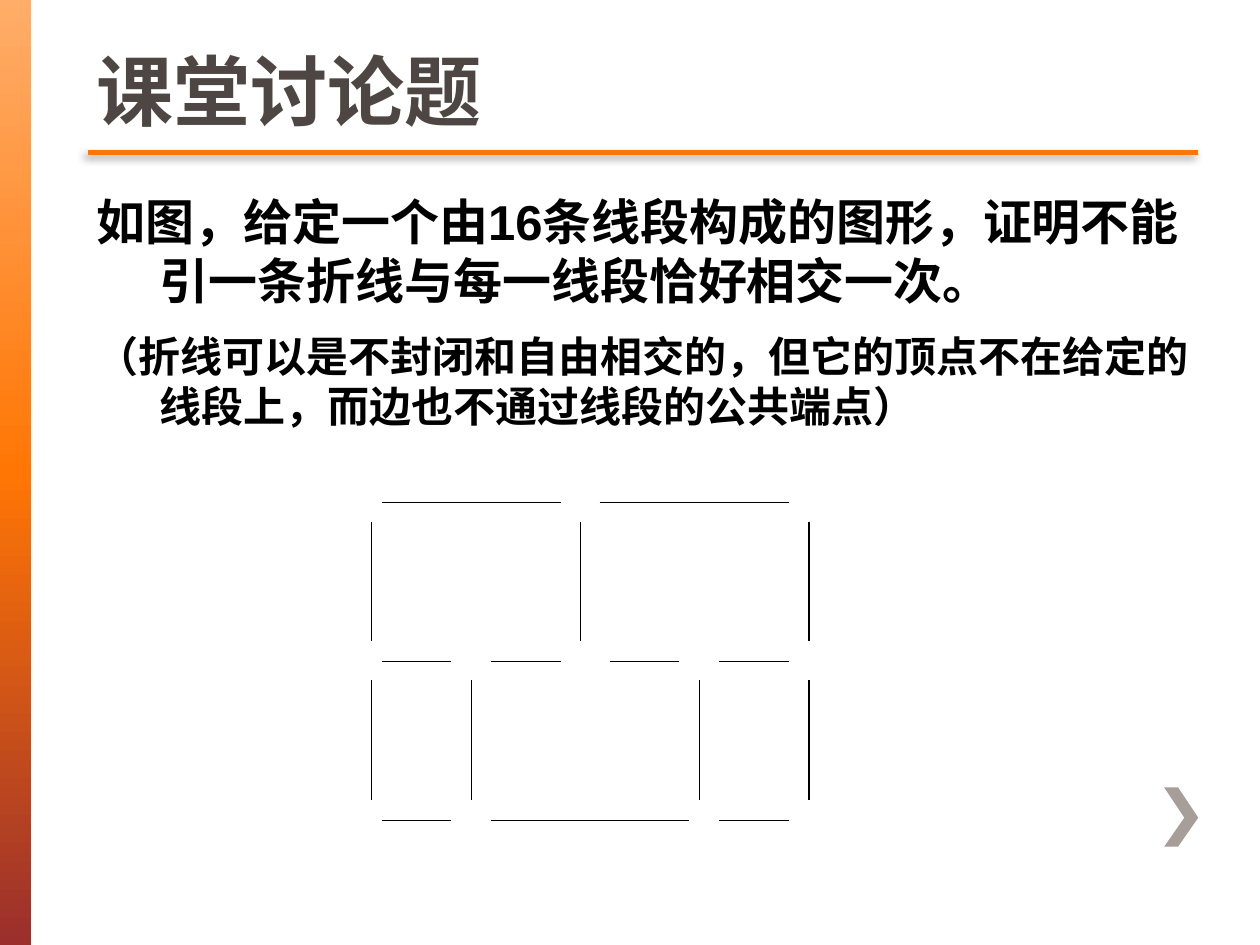
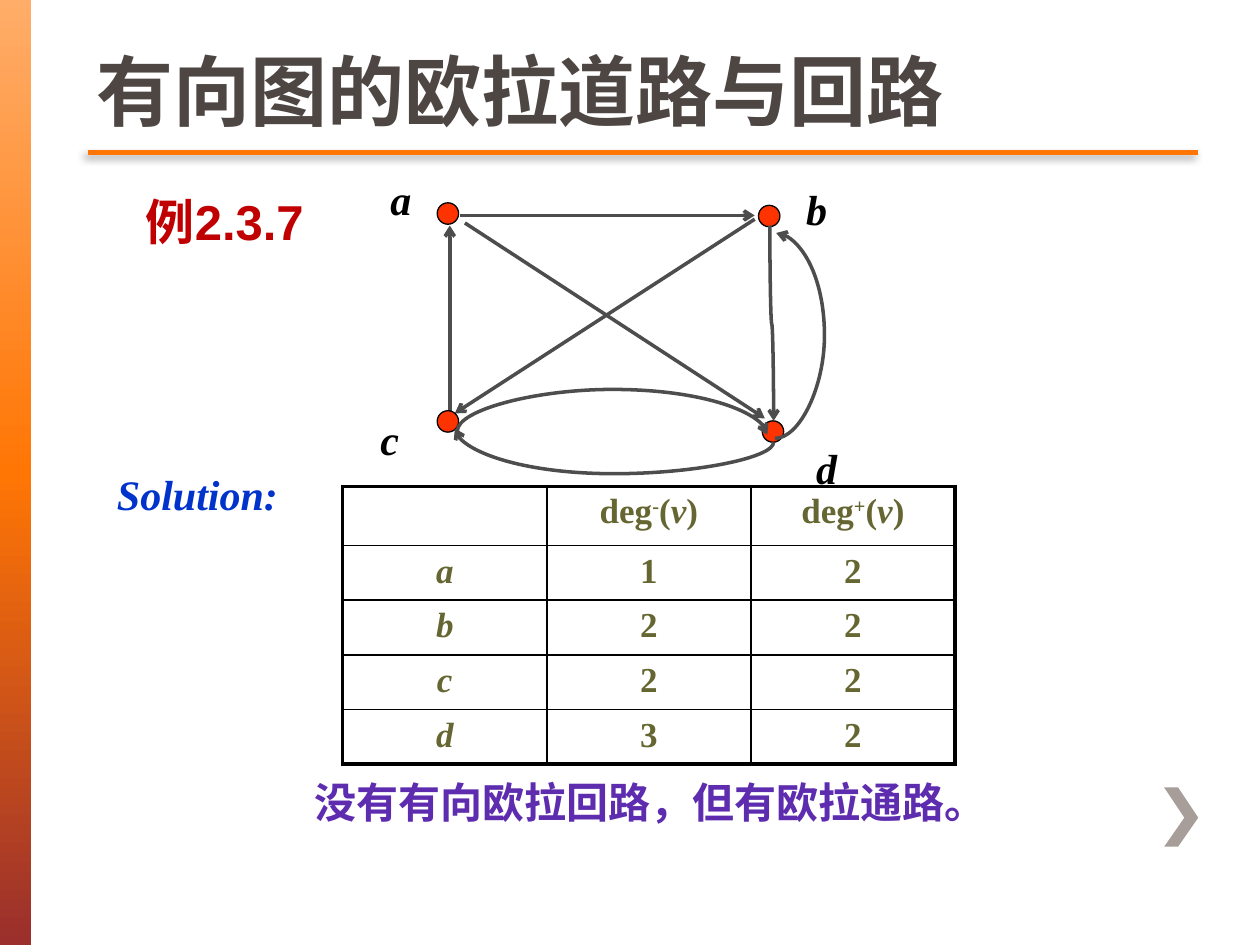
"""Build two graph theory slides: a discussion problem and a directed Euler path example."""
from copy import deepcopy
from dataclasses import dataclass

from lxml import etree
from pptx import Presentation
from pptx.dml.color import RGBColor
from pptx.enum.shapes import MSO_CONNECTOR, MSO_SHAPE
from pptx.enum.text import MSO_ANCHOR, PP_ALIGN
from pptx.oxml.ns import qn
from pptx.util import Inches, Pt

STRAIGHT, CURVE = MSO_CONNECTOR.STRAIGHT, MSO_CONNECTOR.CURVE
RECT, NODE = MSO_SHAPE.RECTANGLE, MSO_SHAPE.FLOWCHART_CONNECTOR
BOTTOM, CENTER = MSO_ANCHOR.BOTTOM, PP_ALIGN.CENTER


@dataclass(frozen=True)
class Theme:
    sans: str = "Arial"
    serif: str = "Times New Roman"
    cjk: str = "Noto Sans CJK SC"
    title: str = "4D4643"
    accent: str = "FF7605"
    chevron: str = "A79D99"
    black: str = "000000"
    edge: str = "4D4D4D"
    node: str = "FF3300"
    cell: str = "666633"
    solution: str = "0033CC"
    example: str = "C00000"
    answer: str = "5E2CAE"
    bar: tuple = ((0, "FFAD69"), (0.5, "FF7605"), (1, "9A2F2C"))
    title_size: int = 44
    lead_size: int = 28
    text_size: int = 24
    cell_size: int = 20


T = Theme()

CHEVRON = [(9.35, 6.25), (9.24, 6.25), (9.4, 6.49), (9.24, 6.72),
           (9.35, 6.72), (9.51, 6.49)]

PROBLEM_TITLE = "课堂讨论题"
PROBLEM = [
    ("如图，给定一个由16条线段构成的图形，证明不能引一条折线与每一线段恰好相交一次。", T.lead_size),
    ("（折线可以是不封闭和自由相交的，但它的顶点不在给定的线段上，而边也不通过线段的公共端点）",
     T.text_size),
]
FIGURE_TOP, ROW_PITCH, GAP, WALL = 3.99, 1.26, 0.15, 0.95
FLOORS = [
    [(3.03, 4.45), (4.76, 6.26)],
    [(3.03, 3.58), (3.9, 4.45), (4.84, 5.39), (5.71, 6.26)],
    [(3.03, 3.58), (3.9, 5.47), (5.71, 6.26)],
]
WALLS = [[2.95, 4.61, 6.42], [2.95, 3.74, 5.55, 6.42]]

EULER_TITLE = "有向图的欧拉道路与回路"
NODE_SIZE = 0.17
NODES = {
    "a": ((3.47, 1.61), (3, 1.29)),
    "b": ((6.02, 1.63), (6.3, 1.37)),
    "c": ((3.47, 3.26), (2.92, 3.19)),
    "d": ((6.05, 3.34), (6.38, 3.42)),
}
ARROWS = [
    ((3.57, 3.29), (3.57, 1.79)),
    ((3.65, 1.71), (5.99, 1.71)),
    ((5.99, 1.74), (3.61, 3.28)),
    ((3.69, 1.77), (6.07, 3.32)),
]
DOWN_CURVES = [
    ((3.61, 3.4), (6.14, 3.51), 0.36, "headEnd"),
    ((3.63, 3.42), (6.09, 3.45), -0.33, "tailEnd"),
    ((6.11, 1.79), (6.14, 3.34), 0.78, "tailEnd"),
]
SIDE_CURVE = ((6.15, 3.48), (6.16, 1.85), 0.4)
NOTES = [
    ("Solution:", (0.83, 3.67, 8.35, 0.5), T.text_size, T.solution, T.serif, True),
    ("例2.3.7", (1.06, 1.47, 1.97, 0.57), T.lead_size, T.example, T.sans, False),
    ("没有有向欧拉回路，但有欧拉通路。", (2.4, 6.11, 5.67, 0.5), T.text_size, T.answer, T.sans, False),
]


def degree(sign):
    return [("deg", ""), (sign, "sup"), ("(", ""), ("v", "i"), (")", "")]


DEGREES = [("a", "1", "2"), ("b", "2", "2"), ("c", "2", "2"), ("d", "3", "2")]
TABLE = [[[], degree("-"), degree("+")]] + [
    [[(name, "i")], [(into, "")], [(out, "")]] for name, into, out in DEGREES]
TABLE_AT = (2.72, 3.86)
COL_WIDTH = 1.62
ROW_HEIGHTS = [0.47, 0.41, 0.43, 0.41, 0.41]


def rgb(color):
    return RGBColor.from_string(color)


def sub(parent, tag, **attrs):
    return etree.SubElement(parent, qn("a:" + tag), {k: str(v) for k, v in attrs.items()})


def style_run(r, size, color, font, italic=False):
    r.font.size, r.font.bold, r.font.italic = Pt(size), True, italic
    r.font.name = font
    r.font.color.rgb = rgb(color)
    sub(r._r.get_or_add_rPr(), "ea", typeface=T.cjk)


def add_text(slide, box, text, size, color, font=T.sans, italic=False):
    tf = slide.shapes.add_textbox(*map(Inches, box)).text_frame
    tf.word_wrap = True
    tf.text = text
    style_run(tf.paragraphs[0].runs[0], size, color, font, italic)
    return tf


def add_line(slide, start, end, color, width, kind=STRAIGHT):
    sp = slide.shapes.add_connector(kind, *map(Inches, (*start, *end)))
    sp.line.color.rgb = rgb(color)
    sp.line.width = Pt(width)
    sub(sp._element.spPr, "effectLst")
    return sp


def add_arrow(slide, start, end, kind=STRAIGHT, tip="tailEnd"):
    sp = add_line(slide, start, end, T.edge, 2, kind)
    sub(sp._element.spPr.find(qn("a:ln")), tip, type="arrow")
    return sp


def set_bulge(sp, ratio):
    guides = sp._element.spPr.find(qn("a:prstGeom")).find(qn("a:avLst"))
    sub(guides, "gd", name="adj1", fmla=f"val {round(ratio * 100000)}")


def add_down_curve(slide, start, end, bulge, tip):
    (x1, y1), (x2, y2) = start, end
    w, h = y2 - y1, x2 - x1
    left, top = (x1 + x2 - w) / 2, (y1 + y2 - h) / 2
    sp = add_arrow(slide, (left, top), (left + w, top + h), CURVE, tip)
    xfrm = sp._element.spPr.find(qn("a:xfrm"))
    xfrm.set("rot", str(270 * 60000))
    xfrm.set("flipH", "1")
    set_bulge(sp, bulge / w)


def paint(sp, color):
    sp.shadow.inherit = False
    sp.fill.solid()
    sp.fill.fore_color.rgb = rgb(color)
    sp.line.fill.background()


def add_bar(slide):
    sp = slide.shapes.add_shape(RECT, 0, 0, Inches(0.25), Inches(7.5))
    sp.shadow.inherit = False
    sp.line.fill.background()
    sp.fill.gradient()
    sp.fill.gradient_angle = 270
    stops = sp._element.spPr.find(qn("a:gradFill")).find(qn("a:gsLst"))
    stops.append(deepcopy(stops[0]))
    for stop, (position, color) in zip(sp.fill.gradient_stops, T.bar):
        stop.position = position
        stop.color.rgb = rgb(color)


def add_title_rule(slide):
    sp = add_line(slide, (0.7, 1.21), (9.51, 1.21), T.accent, 2.5)
    effects = sp._element.spPr.find(qn("a:effectLst"))
    shadow = sub(effects, "outerShdw", blurRad=Pt(5), dist=Pt(3), dir=135 * 60000,
                 algn="tl", rotWithShape=0)
    sub(sub(shadow, "srgbClr", val=T.black), "alpha", val=45000)


def new_slide(prs, title):
    slide = prs.slides.add_slide(prs.slide_layouts[6])
    add_bar(slide)
    points = [tuple(map(Inches, point)) for point in CHEVRON]
    builder = slide.shapes.build_freeform(*points[0])
    builder.add_line_segments(points[1:])
    paint(builder.convert_to_shape(), T.chevron)
    add_title_rule(slide)
    tf = add_text(slide, (0.67, 0, 8.81, 1.13), title, T.title_size, T.title)
    tf.vertical_anchor = BOTTOM
    return slide


def add_problem(slide):
    tf = slide.shapes.add_textbox(*map(Inches, (0.67, 1.47, 8.9, 3.44))).text_frame
    tf.word_wrap = True
    tf.text = "\n".join(text for text, _ in PROBLEM)
    for p, (_, size) in zip(tf.paragraphs, PROBLEM):
        style_run(p.runs[0], size, T.black, T.sans)
        pPr = p._p.get_or_add_pPr()
        pPr.set("marL", str(Inches(0.5)))
        pPr.set("indent", str(-Inches(0.5)))
    tf.paragraphs[1].space_before = Pt(12)


def add_segments(slide):
    for i, floor in enumerate(FLOORS):
        y = FIGURE_TOP + i * ROW_PITCH
        for x1, x2 in floor:
            add_line(slide, (x1, y), (x2, y), T.black, 0.75)
    for i, walls in enumerate(WALLS):
        y = FIGURE_TOP + i * ROW_PITCH + GAP
        for x in walls:
            add_line(slide, (x, y), (x, y + WALL), T.black, 0.75)


def add_graph(slide):
    for start, end in ARROWS:
        add_arrow(slide, start, end)
    for name, (at, label_at) in NODES.items():
        sp = slide.shapes.add_shape(NODE, *map(Inches, (*at, NODE_SIZE, NODE_SIZE)))
        paint(sp, T.node)
        sp.line.color.rgb = rgb(T.black)
        sp.line.width = Pt(0.75)
        tf = add_text(slide, (*label_at, 0.37, 0.33), name, T.text_size, T.black, T.serif, True)
        tf.margin_top, tf.margin_bottom = Inches(0.09), 0
    for curve in DOWN_CURVES:
        add_down_curve(slide, *curve)
    start, end, bulge = SIDE_CURVE
    set_bulge(add_arrow(slide, start, end, CURVE), bulge / (end[0] - start[0]))


def set_borders(cell, outer):
    tcPr = cell._tc.get_or_add_tcPr()
    for side in "LRTB":
        ln = sub(tcPr, "ln" + side, w=Pt(2.25 if side in outer else 1))
        sub(sub(ln, "solidFill"), "srgbClr", val=T.black)


def add_degrees(slide):
    rows, cols = len(TABLE), len(TABLE[0])
    size = (COL_WIDTH * cols, sum(ROW_HEIGHTS))
    table = slide.shapes.add_table(rows, cols, *map(Inches, (*TABLE_AT, *size))).table
    table.first_row = table.horz_banding = False
    for column in table.columns:
        column.width = Inches(COL_WIDTH)
    for i, row in enumerate(TABLE):
        table.rows[i].height = Inches(ROW_HEIGHTS[i])
        for j, parts in enumerate(row):
            cell = table.cell(i, j)
            edges = {"L": j == 0, "R": j == cols - 1, "T": i == 0, "B": i == rows - 1}
            set_borders(cell, [side for side, is_outer in edges.items() if is_outer])
            cell.fill.background()
            p = cell.text_frame.paragraphs[0]
            p.alignment = CENTER
            for text, style in parts:
                r = p.add_run()
                r.text = text
                style_run(r, T.cell_size, T.cell, T.serif, style == "i")
                if style == "sup":
                    r._r.get_or_add_rPr().set("baseline", "30000")


def main():
    prs = Presentation()
    prs.slide_width, prs.slide_height = Inches(10), Inches(7.5)

    slide = new_slide(prs, PROBLEM_TITLE)
    add_problem(slide)
    add_segments(slide)

    slide = new_slide(prs, EULER_TITLE)
    add_graph(slide)
    add_degrees(slide)
    for text, box, size, color, font, italic in NOTES:
        add_text(slide, box, text, size, color, font, italic)

    prs.save("out.pptx")


if __name__ == "__main__":
    main()
